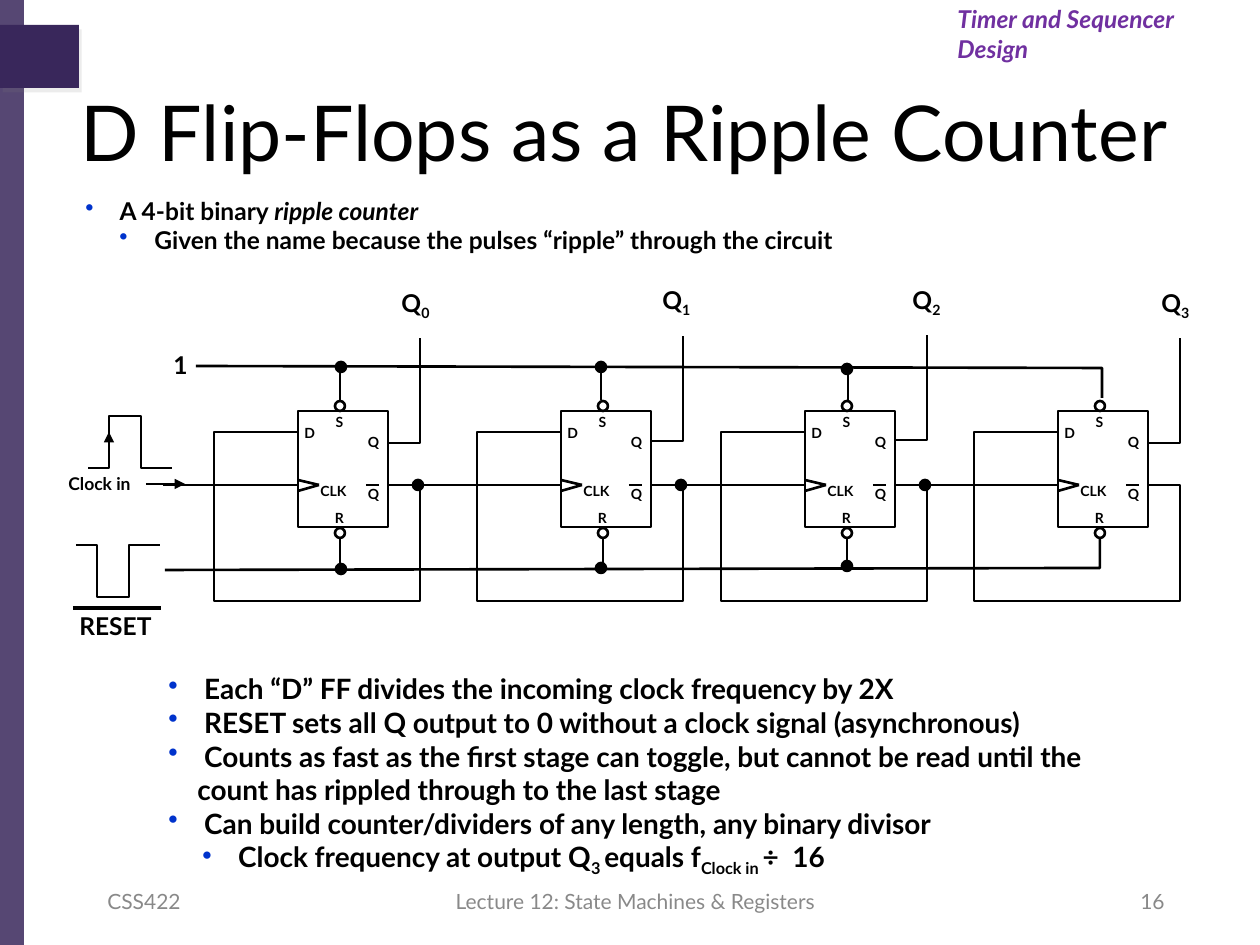
from lxml.etree import SubElement
from pptx import Presentation
from pptx.dml.color import RGBColor
from pptx.enum.shapes import MSO_CONNECTOR, MSO_SHAPE
from pptx.enum.text import MSO_ANCHOR, PP_ALIGN
from pptx.oxml.ns import qn
from pptx.util import Pt

SCALE = 914400 / 126
FONT = "Lato"
BLACK, WHITE, GREY = "000000", "FFFFFF", "898989"
PURPLE, VIOLET, BLUE = "39275B", "7030A0", "0033CC"
LEFT, CENTER, RIGHT = PP_ALIGN.LEFT, PP_ALIGN.CENTER, PP_ALIGN.RIGHT
BULLET_INDENT = 29
LEVEL_MARGINS = (29, 63)

# left edge, top of Q wire, Q label left and top, set stub x, reset stub x, dot left, set dot y, reset dot y
STAGES = [
    (298, 338, 389, 284, 340, 340, 336, 362, 564),
    (561, 336, 650, 281, 601, 603, 596, 362, 563),
    (805, 335, 900, 281, 848, 847, 842, 364, 561),
    (1058, 338, 1149, 284, None, None, None, None, None),
]


def px(n):
    return round(n * SCALE)


def rgb(color):
    return RGBColor.from_string(color)


def style_line(s, width):
    s.line.color.rgb = rgb(BLACK)
    s.line.width = Pt(width)


def add_box(slide, kind, box, fill, line=1.5):
    s = slide.shapes.add_shape(kind, *map(px, box))
    s.shadow.inherit = False
    s.fill.solid()
    s.fill.fore_color.rgb = rgb(fill)
    if line:
        style_line(s, line)
    else:
        s.line.fill.background()
    return s


def add_circle(slide, x, y, fill):
    add_box(slide, MSO_SHAPE.OVAL, (x, y, 10, 10), fill)


def add_line(slide, x1, y1, x2, y2, width=1.5, arrow=False):
    s = slide.shapes.add_connector(MSO_CONNECTOR.STRAIGHT, *map(px, (x1, y1, x2, y2)))
    style_line(s, width)
    if arrow:
        SubElement(s.line._get_or_add_ln(), qn("a:tailEnd"), type="triangle")
    SubElement(s._element.spPr, qn("a:effectLst"))


def add_wire(slide, *points):
    """Draw an open outline through the points."""
    builder = slide.shapes.build_freeform(*points[0], scale=SCALE)
    builder.add_line_segments(points[1:], close=False)
    s = builder.convert_to_shape()
    s.shadow.inherit = False
    s.fill.background()
    style_line(s, 1.5)


def add_runs(p, runs, size, color=BLACK, bold=True):
    """Each run is a text and a mark: "" plain, "i" italic, "sub" subscript."""
    for text, mark in runs:
        r = p.add_run()
        r.text = text
        r.font.name = FONT
        r.font.size = Pt(size)
        r.font.bold = bold
        r.font.italic = mark == "i"
        r.font.color.rgb = rgb(color)
        if mark == "sub":
            r.font._element.set("baseline", "-25000")


def add_text(slide, box, runs, size, align=CENTER, color=BLACK, bold=True,
             wrap=False, anchor=MSO_ANCHOR.MIDDLE):
    tf = slide.shapes.add_textbox(*map(px, box)).text_frame
    tf.word_wrap = wrap
    tf.vertical_anchor = anchor
    p = tf.paragraphs[0]
    p.alignment = align
    add_runs(p, [(runs, "")] if isinstance(runs, str) else runs, size, color, bold)


def add_bullets(slide, box, items, size):
    """Each item is a level and its runs."""
    tf = slide.shapes.add_textbox(*map(px, box)).text_frame
    tf.word_wrap = True
    tf.vertical_anchor = MSO_ANCHOR.MIDDLE
    for i, (level, runs) in enumerate(items):
        p = tf.add_paragraph() if i else tf.paragraphs[0]
        p.level = level
        pPr = p._p.get_or_add_pPr()
        pPr.set("marL", str(px(LEVEL_MARGINS[level])))
        pPr.set("indent", str(-px(BULLET_INDENT)))
        SubElement(SubElement(pPr, qn("a:buClr")), qn("a:srgbClr"), val=BLUE)
        SubElement(pPr, qn("a:buChar"), char="•")
        add_runs(p, runs, size)


def add_side_band(slide):
    band = add_box(slide, MSO_SHAPE.RECTANGLE, (0, 0, 24, 945), PURPLE, line=0)
    color = band.fill._xPr.find(qn("a:solidFill"))[0]
    SubElement(color, qn("a:alpha"), val="85000")
    tab = add_box(slide, MSO_SHAPE.RECTANGLE, (0, 25, 79, 63), PURPLE, line=0)
    effects = tab._element.spPr.find(qn("a:effectLst"))
    shadow = SubElement(effects, qn("a:outerShdw"), blurRad="0", dist=str(Pt(3)),
                        dir="3600000", rotWithShape="0")
    color = SubElement(shadow, qn("a:srgbClr"), val="808080")
    SubElement(color, qn("a:alpha"), val="15000")


def add_flip_flop(slide, x):
    add_box(slide, MSO_SHAPE.RECTANGLE, (x, 411, 90, 116), WHITE)
    add_line(slide, x, 432, x - 31, 432)
    add_line(slide, x, 485, x - 31, 485)
    for y in (480, 491):
        add_line(slide, x, y, x + 21, 485)
    for y in (401, 528):
        add_circle(slide, x + 37, y, WHITE)
    for text, dx, y, w in (("S", 24, 407, 35), ("R", 24, 503, 35), ("D", -6, 418, 35),
                           ("Q", 57, 427, 37), ("Q", 57, 479, 37)):
        add_text(slide, (x + dx, y, w, 29), text, 8)
    add_text(slide, (x + 10, 476, 54, 29), "CLK", 8, LEFT)
    add_line(slide, x + 68, 485, x + 81, 485)
    add_wire(slide, (x + 90, 485), (x + 122, 485), (x + 122, 601),
             (x - 84, 601), (x - 84, 432), (x - 30, 432))


def add_stage(slide, n, x, top, label_x, label_y, set_x, reset_x, dot_x, set_y, reset_y):
    add_flip_flop(slide, x)
    add_wire(slide, (x + 91, top + 105), (x + 122, top + 105), (x + 122, top))
    add_text(slide, (label_x, label_y, 53, 42), [("Q", ""), (str(n), "sub")], 14)
    if dot_x is None:
        return
    add_line(slide, set_x, 400, set_x, 368)
    add_line(slide, reset_x, 539, reset_x, 569)
    for dot in ((dot_x, set_y), (dot_x, reset_y), (x + 115, 480)):
        add_circle(slide, *dot, BLACK)


def add_inputs(slide):
    add_text(slide, (53, 466, 93, 34), "Clock in", 10)
    add_wire(slide, (88, 468), (109, 468), (109, 416), (141, 416), (141, 468), (172, 468))
    add_line(slide, 109, 464, 109, 432, arrow=True)
    add_line(slide, 146, 484, 185, 484, arrow=True)
    add_line(slide, 271, 485, 163, 485)
    add_text(slide, (161, 344, 39, 42), "1", 14)
    add_wire(slide, (1102, 398), (1102, 368), (196, 366))
    add_wire(slide, (1100, 537), (1100, 568), (165, 570))
    add_wire(slide, (76, 545), (97, 545), (97, 597), (129, 597), (129, 545), (160, 545))
    add_line(slide, 73, 608, 161, 608, width=2.25)
    add_text(slide, (62, 605, 107, 42), "RESET", 14)


def main():
    prs = Presentation()
    prs.slide_width, prs.slide_height = px(1260), px(945)
    slide = prs.slides.add_slide(prs.slide_layouts[6])
    add_side_band(slide)
    add_text(slide, (10, 73, 1229, 116), "D Flip-Flops as a Ripple Counter", 44,
             bold=False, wrap=True)
    for x, w, text, align in ((95, 294, "CSS422", LEFT),
                              (436, 399, "Lecture 12: State Machines & Registers", CENTER),
                              (883, 294, "16", RIGHT)):
        add_text(slide, (x, 876, w, 50), text, 12, align, GREY, bold=False, wrap=True)
    add_bullets(slide, (73, 189, 1135, 72), [
        (0, [(" A 4-bit binary ", ""), ("ripple counter", "i")]),
        (1, [(" Given the name because the pulses “ripple” through the circuit", "")]),
    ], 14)
    add_inputs(slide)
    for (x, *_), (next_x, *_) in zip(STAGES, STAGES[1:]):
        add_line(slide, next_x - 21, 485, x + 121, 485)
    for n, stage in enumerate(STAGES):
        add_stage(slide, n, *stage)
    add_bullets(slide, (156, 668, 1004, 214), [
        (0, [(" Each “D” FF divides the incoming clock frequency by 2X", "")]),
        (0, [(" RESET sets all Q output to 0 without a clock signal (asynchronous)", "")]),
        (0, [(" Counts as fast as the first stage can toggle, but cannot be read until "
              "the count has rippled through to the last stage", "")]),
        (0, [(" Can build counter/dividers of any length, any binary divisor", "")]),
        (1, [(" Clock frequency at output Q", ""), ("3 ", "sub"), ("equals f", ""),
             ("Clock in ", "sub"), ("÷  16", "")]),
    ], 16)
    add_text(slide, (945, -2, 316, 43), [("Timer and Sequencer Design", "i")], 14, LEFT,
             VIOLET, wrap=True, anchor=MSO_ANCHOR.TOP)
    prs.save("out.pptx")


if __name__ == "__main__":
    main()
